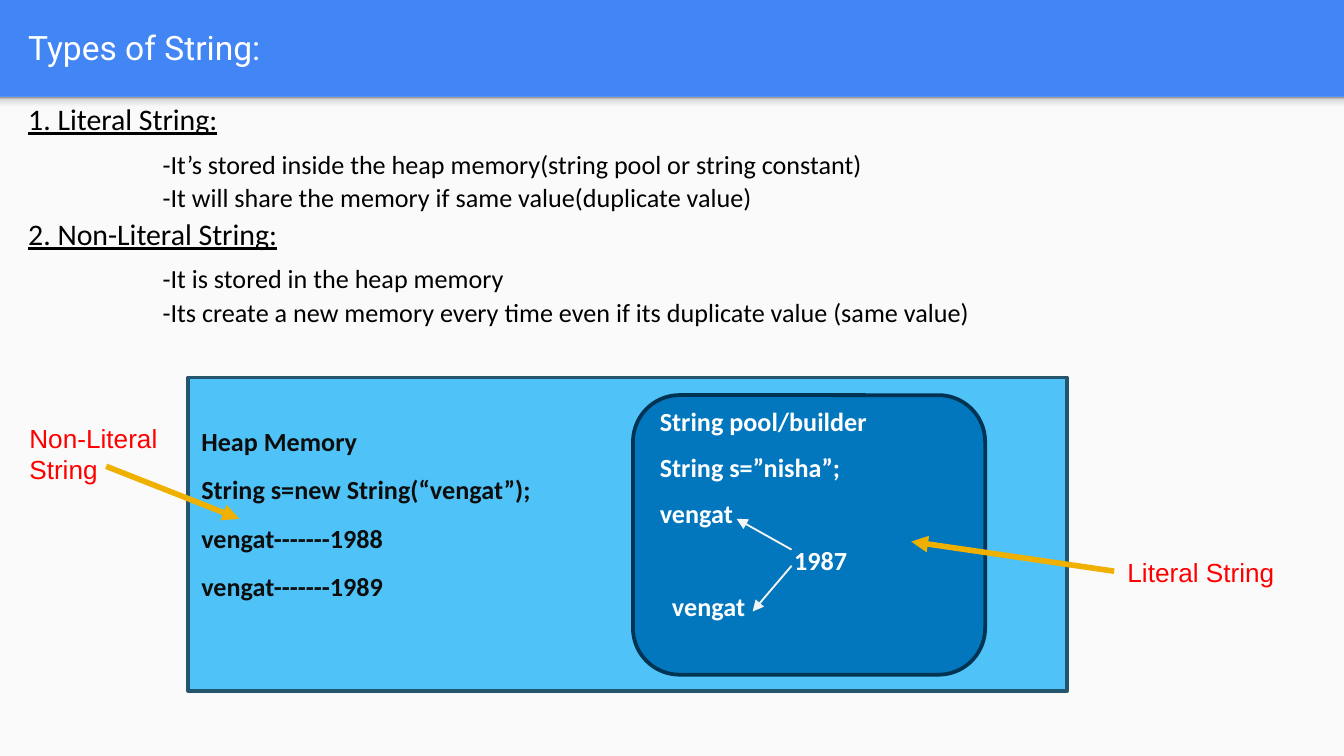
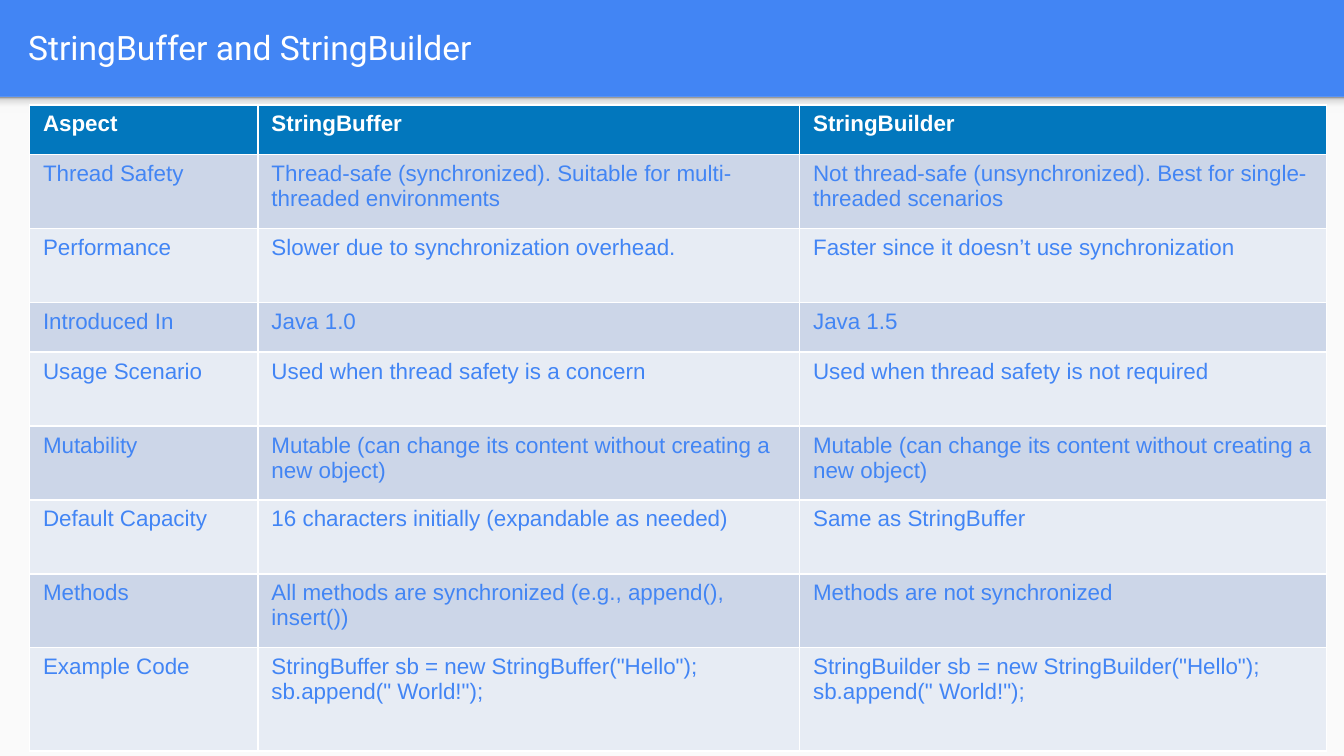
from lxml.etree import SubElement
from pptx import Presentation
from pptx.dml.color import RGBColor
from pptx.enum.shapes import MSO_CONNECTOR, MSO_SHAPE
from pptx.enum.text import MSO_ANCHOR, MSO_AUTO_SIZE, PP_ALIGN
from pptx.oxml import parse_xml
from pptx.oxml.ns import nsdecls, qn
from pptx.util import Emu, Pt

# Shared design: 100 px to the inch
SCALE = 9144
WIDTH = 1000
COLORS = {
    "blue": "4285F4", "paper": "FAFAFA", "white": "FFFFFF", "black": "000000",
    "ink": "0D0D0D", "red": "FF0000", "gold": "EFB000", "pale": "F4F4F4",
    "heap": "4FC3F7", "heap_edge": "23556C", "pool": "0277BD", "pool_edge": "013453",
    "row_dark": "CCD6E8", "row_light": "E7ECF4",
}
BAND_STOPS = [(0, "F9F9F9"), (36, "F9F9F9"), (80, "DEDEDE"), (100, "999999")]
FONTS = {
    "title": ("white", {"name": "Roboto", "size": Pt(18)}),
    "heading": ("black", {"name": "Calibri", "size": Pt(16), "underline": True}),
    "point": ("black", {"name": "Calibri", "size": Pt(14)}),
    "heap": ("ink", {"name": "Calibri", "size": Pt(14), "bold": True}),
    "pool": ("white", {"name": "Calibri", "size": Pt(14), "bold": True}),
    "label": ("red", {"name": "Arial", "size": Pt(14)}),
    "header": ("white", {"name": "Arial", "size": Pt(12), "bold": True}),
    "cell": ("blue", {"name": "Arial", "size": Pt(12), "bold": False}),
}

# Content
STRING_TYPES = [
    ("1. Literal String:", [
        "-It’s stored inside the heap memory(string pool or string constant)",
        "-It will share the memory if same value(duplicate value)"]),
    ("2. Non-Literal String:", [
        "-It is stored in the heap memory",
        "-Its create a new memory every time even if its duplicate value (same value)"]),
]
# Each line: text, left indent
HEAP_LINES = [("Heap Memory", 0), ("String s=new String(“vengat”);", 0),
              ("vengat-------1988", 0), ("vengat-------1989", 0)]
POOL_LINES = [("String pool/builder", 0), ("String s=”nisha”;", 0), ("vengat", 0),
              ("1987", 100), ("vengat", 9)]
COLUMN_WIDTHS = [170, 403, 392]
# Each row: height, cells
COMPARISON = [
    (37, ["Aspect", "StringBuffer", "StringBuilder"]),
    (55, ["Thread Safety",
          "Thread-safe (synchronized). Suitable for multi-threaded environments",
          "Not thread-safe (unsynchronized). Best for single-threaded scenarios"]),
    (55, ["Performance", "Slower due to synchronization overhead.",
          "Faster since it doesn’t use synchronization"]),
    (37, ["Introduced In", "Java 1.0", "Java 1.5"]),
    (55, ["Usage Scenario", "Used when thread safety is a concern",
          "Used when thread safety is not required"]),
    (55, ["Mutability",
          "Mutable (can change its content without creating a new object)",
          "Mutable (can change its content without creating a new object)"]),
    (55, ["Default Capacity", "16 characters initially (expandable as needed)",
          "Same as StringBuffer"]),
    (55, ["Methods", "All methods are synchronized (e.g., append(), insert())",
          "Methods are not synchronized"]),
    (77, ["Example Code",
          'StringBuffer sb = new StringBuffer("Hello"); sb.append(" World!");',
          'StringBuilder sb = new StringBuilder("Hello"); sb.append(" World!");']),
]


def px(*lengths):
    return [Emu(length * SCALE) for length in lengths]


def rgb(color):
    return RGBColor.from_string(COLORS[color])


def set_values(target, values):
    for name, value in values.items():
        setattr(target, name, value)


def place(shape, left, top, width, height):
    set_values(shape, dict(zip(("left", "top", "width", "height"),
                               px(left, top, width, height))))


def write(paragraph, text, font_key, indent=0, **spacing):
    """Fill one left-aligned paragraph without a bullet."""
    run = paragraph.add_run()
    run.text = text
    color, values = FONTS[font_key]
    set_values(run.font, values)
    run.font.color.rgb = rgb(color)
    set_values(paragraph, {"alignment": PP_ALIGN.LEFT, "space_before": Pt(0), **spacing})
    properties = paragraph._p.get_or_add_pPr()
    properties.set("marL", str(indent * SCALE))
    properties.set("indent", "0")
    SubElement(properties, qn("a:buNone"))


def next_paragraph(frame):
    first = frame.paragraphs[0]
    return frame.add_paragraph() if first.runs else first


def add_box(slide, kind, box, fill, edge=None):
    shape = slide.shapes.add_shape(kind, *px(*box))
    shape.shadow.inherit = False
    shape.fill.solid()
    shape.fill.fore_color.rgb = rgb(fill)
    if edge:
        shape.line.color.rgb = rgb(edge)
        shape.line.width = Pt(2)
    else:
        shape.line.fill.background()
    return shape


def add_memory(slide, kind, box, name, lines, line_spacing):
    shape = add_box(slide, kind, box, name, name + "_edge")
    frame = shape.text_frame
    # The deeper bottom margin lifts the text above the middle
    margin_top, margin_bottom = px(0, 32)
    set_values(frame, {"word_wrap": True, "vertical_anchor": MSO_ANCHOR.MIDDLE,
                       "margin_top": margin_top, "margin_bottom": margin_bottom})
    for text, indent in lines:
        write(next_paragraph(frame), text, name, indent,
              space_after=Pt(8), line_spacing=line_spacing)


def add_label(slide, text, box):
    frame = slide.shapes.add_textbox(*px(*box)).text_frame
    frame.word_wrap = True
    write(frame.paragraphs[0], text, "label")


def add_arrow(slide, start, end, color, weight):
    arrow = slide.shapes.add_connector(MSO_CONNECTOR.STRAIGHT, *px(*start, *end))
    arrow.line.color.rgb = rgb(color)
    arrow.line.width = Pt(weight)
    SubElement(arrow.line._get_or_add_ln(), qn("a:tailEnd"), type="triangle")
    SubElement(arrow.element.spPr, qn("a:effectLst"))


def add_titled_slide(presentation, layout_index, title):
    slide = presentation.slides.add_slide(presentation.slide_layouts[layout_index])
    place(slide.shapes.title, 11, 2, 965, 66)
    frame = slide.shapes.title.text_frame
    margins = dict.fromkeys(
        ("margin_left", "margin_top", "margin_right", "margin_bottom"), px(10)[0])
    set_values(frame, {"vertical_anchor": MSO_ANCHOR.MIDDLE, "word_wrap": True,
                       "auto_size": MSO_AUTO_SIZE.NONE, **margins})
    write(frame.paragraphs[0], title, "title")
    return slide


def move_backdrop_to_master(presentation, slide):
    """Draw the paper panel and its shaded edge, then share them on the master."""
    master = presentation.slide_master
    master.background.fill.solid()
    master.background.fill.fore_color.rgb = rgb("blue")
    panel = add_box(slide, MSO_SHAPE.RECTANGLE, (0, 72, WIDTH, 491), "paper")
    edge = add_box(slide, MSO_SHAPE.RECTANGLE, (0, 72, WIDTH, 12), "paper")
    stops = "".join(f'<a:gs pos="{position * 1000}"><a:srgbClr val="{color}"/></a:gs>'
                    for position, color in BAND_STOPS)
    gradient = parse_xml(f'<a:gradFill {nsdecls("a")}><a:gsLst>{stops}</a:gsLst>'
                         '<a:lin ang="16200000" scaled="0"/></a:gradFill>')
    properties = edge.element.spPr
    properties.replace(properties.find(qn("a:solidFill")), gradient)
    for index, shape in enumerate((panel, edge), start=2):
        master.shapes._spTree.insert(index, shape.element)


def add_type_list(slide):
    body = slide.placeholders[1]
    place(body, 11, 68, 965, 467)
    frame = body.text_frame
    frame.auto_size = MSO_AUTO_SIZE.NONE
    for heading, points in STRING_TYPES:
        write(next_paragraph(frame), heading, "heading", line_spacing=1.07)
        for number, point in enumerate(points):
            write(next_paragraph(frame), point, "point", 100, line_spacing=1.07,
                  space_before=Pt(0 if number else 5))


def add_comparison(slide):
    table = slide.shapes.add_table(len(COMPARISON), len(COLUMN_WIDTHS),
                                   *px(22, 78, 965, 478)).table
    for column, width in zip(table.columns, COLUMN_WIDTHS):
        column.width = px(width)[0]
    for number, (height, texts) in enumerate(COMPARISON):
        table.rows[number].height = px(height)[0]
        banding = "row_dark" if number % 2 else "row_light"
        fill, font_key = (banding, "cell") if number else ("pool", "header")
        for cell, text in zip(table.rows[number].cells, texts):
            cell.fill.solid()
            cell.fill.fore_color.rgb = rgb(fill)
            write(cell.text_frame.paragraphs[0], text, font_key)


def main():
    presentation = Presentation()
    presentation.slide_width = Emu(WIDTH * SCALE)
    presentation.slide_height = Emu(WIDTH * SCALE * 9 // 16)

    # Slide 1: kinds of string and where they live in memory
    slide = add_titled_slide(presentation, 1, "Types of String:")
    move_backdrop_to_master(presentation, slide)
    add_type_list(slide)
    add_memory(slide, MSO_SHAPE.RECTANGLE, (140, 281, 654, 233), "heap", HEAP_LINES, 1.07)
    add_memory(slide, MSO_SHAPE.ROUNDED_RECTANGLE, (471, 294, 262, 208), "pool",
               POOL_LINES, 1.0)
    add_arrow(slide, (589, 409), (548, 386), "pale", 1)
    add_arrow(slide, (589, 421), (560, 455), "pale", 1)
    add_label(slide, "Literal String", (829, 409, 169, 34))
    add_label(slide, "Non-Literal String", (12, 309, 169, 57))
    add_arrow(slide, (829, 425), (678, 403), "gold", 3)
    add_arrow(slide, (79, 347), (178, 386), "gold", 3)

    # Slide 2: comparison table
    slide = add_titled_slide(presentation, 5, "StringBuffer and StringBuilder")
    add_comparison(slide)

    presentation.save("out.pptx")


if __name__ == "__main__":
    main()
